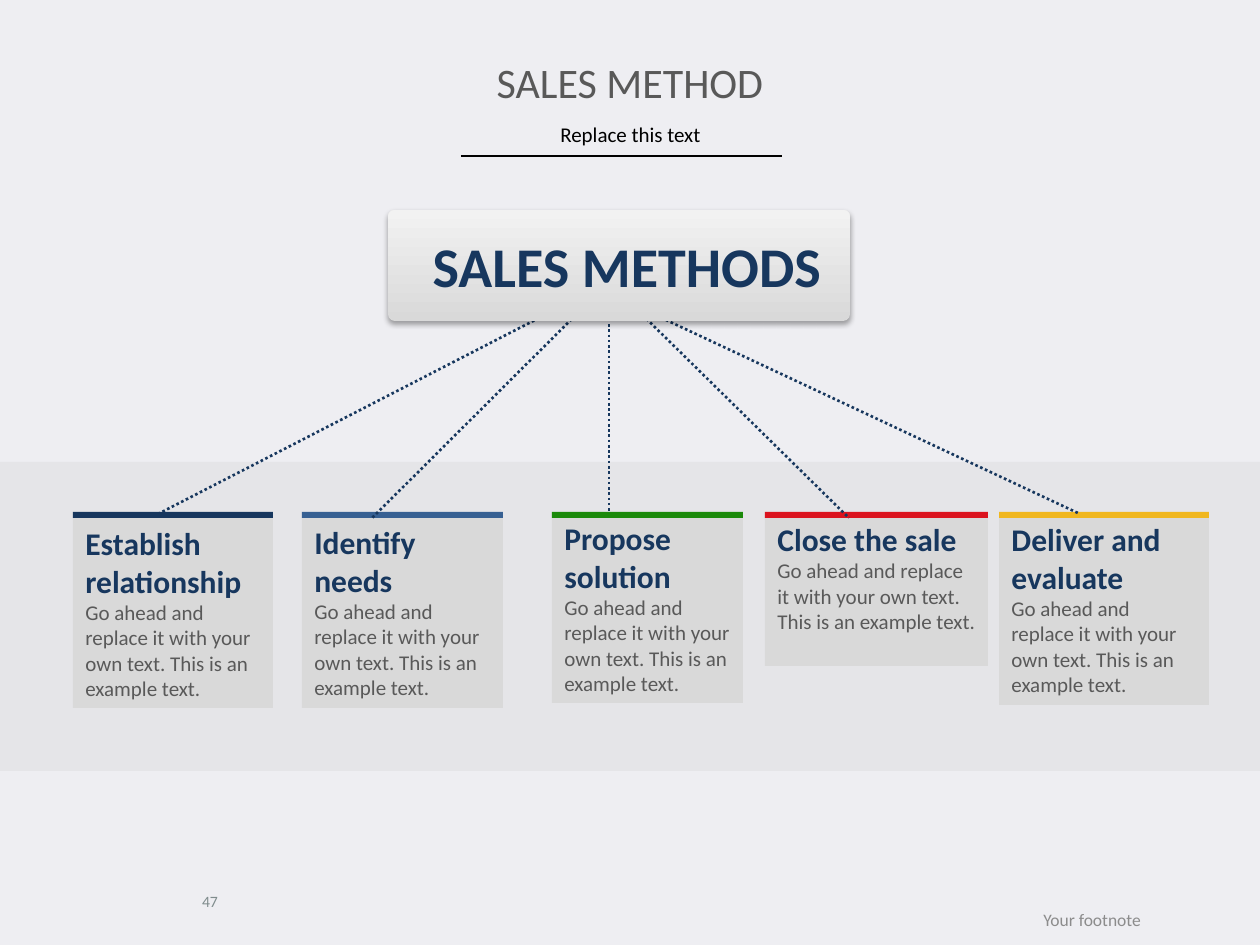
from lxml import etree
from pptx import Presentation
from pptx.dml.color import RGBColor
from pptx.enum.dml import MSO_LINE
from pptx.enum.shapes import MSO_CONNECTOR, MSO_SHAPE
from pptx.enum.text import MSO_ANCHOR, PP_ALIGN
from pptx.oxml import parse_xml
from pptx.oxml.ns import nsdecls, qn
from pptx.util import Emu, Pt

RECT, ROUND = MSO_SHAPE.RECTANGLE, MSO_SHAPE.ROUNDED_RECTANGLE
LINE, DOTS = MSO_CONNECTOR.STRAIGHT, MSO_LINE.ROUND_DOT
LEFT, CENTER = PP_ALIGN.LEFT, PP_ALIGN.CENTER
TOP, MIDDLE = MSO_ANCHOR.TOP, MSO_ANCHOR.MIDDLE

BACK = RGBColor(0xEE, 0xEE, 0xF2)
BLACK = RGBColor(0, 0, 0)
NAVY = RGBColor(0x17, 0x37, 0x5E)
BLUE = RGBColor(0x37, 0x60, 0x92)
GREEN = RGBColor(0x1B, 0x8A, 0x0A)
RED = RGBColor(0xDB, 0x13, 0x1E)
GOLD = RGBColor(0xF0, 0xB7, 0x1F)
GRAY = RGBColor(0xD9, 0xD9, 0xD9)
PALE = RGBColor(0xF2, 0xF2, 0xF2)
DARK = RGBColor(0x59, 0x59, 0x59)
SLATE = RGBColor(0x7F, 0x8C, 0x8D)
MUTED = RGBColor(0x8C, 0x8C, 0x8C)

BODY = "Go ahead and replace it with your own text. This is an example text."
SCALE = 914400 / 126


def px(*nums):
    return [Emu(round(n * SCALE)) for n in nums]


def write(shape, rows, align=CENTER, anchor=TOP):
    frame = shape.text_frame
    frame.word_wrap = True
    frame.vertical_anchor = anchor
    for i, (text, size, color, bold) in enumerate(rows):
        para = frame.add_paragraph() if i else frame.paragraphs[0]
        para.text = text
        para.alignment = align
        font = para.font
        font.name, font.size, font.bold = "Calibri", Pt(size), bold
        font.color.rgb = color
    return frame.paragraphs[0]


prs = Presentation()
prs.slide_width, prs.slide_height = px(1260, 945)
slide = prs.slides.add_slide(prs.slide_layouts[5])
slide.background.fill.solid()
slide.background.fill.fore_color.rgb = BACK
shapes = slide.shapes

title = shapes.title
title.left, title.top, title.width, title.height = px(87, 55, 1086, 63)
write(title, [("SALES METHOD", 24, DARK, False)], anchor=MIDDLE).line_spacing = 0.8

labels = [
    ("Replace this text", 12, BLACK, (87, 120, 1087, 34), TOP),
    ("47", 9, SLATE, (68, 876, 284, 50), MIDDLE),
    ("Your footnote", 10, MUTED, (945, 893, 294, 53), MIDDLE),
]
for text, size, color, box, anchor in labels:
    para = write(shapes.add_textbox(*px(*box)), [(text, size, color, False)], anchor=anchor)
    if anchor == TOP:
        para.line_spacing = 0.8

band = shapes.add_shape(RECT, *px(0, 462, 1260, 309))
band.shadow.inherit = False
band.fill.solid()
band.fill.fore_color.rgb = GRAY
tint = band.fill._xPr.find(".//" + qn("a:srgbClr"))
etree.SubElement(tint, qn("a:alpha"), val="40000")
band.line.fill.background()

cards = [
    ("Establish relationship", NAVY, 73, 518, 200, 190),
    ("Identify needs", BLUE, 302, 517, 201, 191),
    ("Propose solution", GREEN, 552, 513, 191, 190),
    ("Close the sale", RED, 765, 514, 223, 152),
    ("Deliver and evaluate", GOLD, 999, 514, 210, 191),
]
for head, color, x, y, w, h in cards:
    card = shapes.add_shape(RECT, *px(x, y, w, h))
    bar = shapes.add_shape(RECT, *px(x, 512, w, 6))
    for shape, fill in ((card, GRAY), (bar, color)):
        shape.shadow.inherit = False
        shape.fill.solid()
        shape.fill.fore_color.rgb = fill
        shape.line.fill.background()
    write(card, [(head, 18, NAVY, True), (BODY, 12, DARK, False)], LEFT)

lines = [
    (461, 156, 782, 156, BLACK, 1, None),
    (609, 282, 158, 514, NAVY, 1.5, DOTS),
    (609, 282, 372, 518, NAVY, 1.5, DOTS),
    (609, 282, 609, 513, NAVY, 1.5, DOTS),
    (609, 282, 849, 518, NAVY, 1.5, DOTS),
    (585, 282, 1080, 514, NAVY, 1.5, DOTS),
]
for *ends, color, width, dash in lines:
    link = shapes.add_connector(LINE, *px(*ends))
    link.line.color.rgb = color
    link.line.width = Pt(width)
    if dash:
        link.line.dash_style = dash
    etree.SubElement(link._element.spPr, qn("a:effectLst"))

plaque = shapes.add_shape(ROUND, *px(388, 210, 462, 111))
plaque.adjustments[0] = 0.06
plaque.fill.gradient()
plaque.fill.gradient_angle = 90
for stop, color in zip(plaque.fill.gradient_stops, (GRAY, PALE)):
    stop.color.rgb = color
plaque.line.fill.background()
plaque.shadow.inherit = False
plaque._element.spPr.find(qn("a:effectLst")).append(parse_xml(
    f'<a:outerShdw {nsdecls("a")} blurRad="39370" dist="22860" dir="5400000" rotWithShape="0">'
    '<a:srgbClr val="000000"><a:alpha val="35000"/></a:srgbClr></a:outerShdw>'))
write(shapes.add_textbox(*px(334, 225, 586, 81)), [("SALES METHODS", 32, NAVY, True)])

prs.save("out.pptx")
